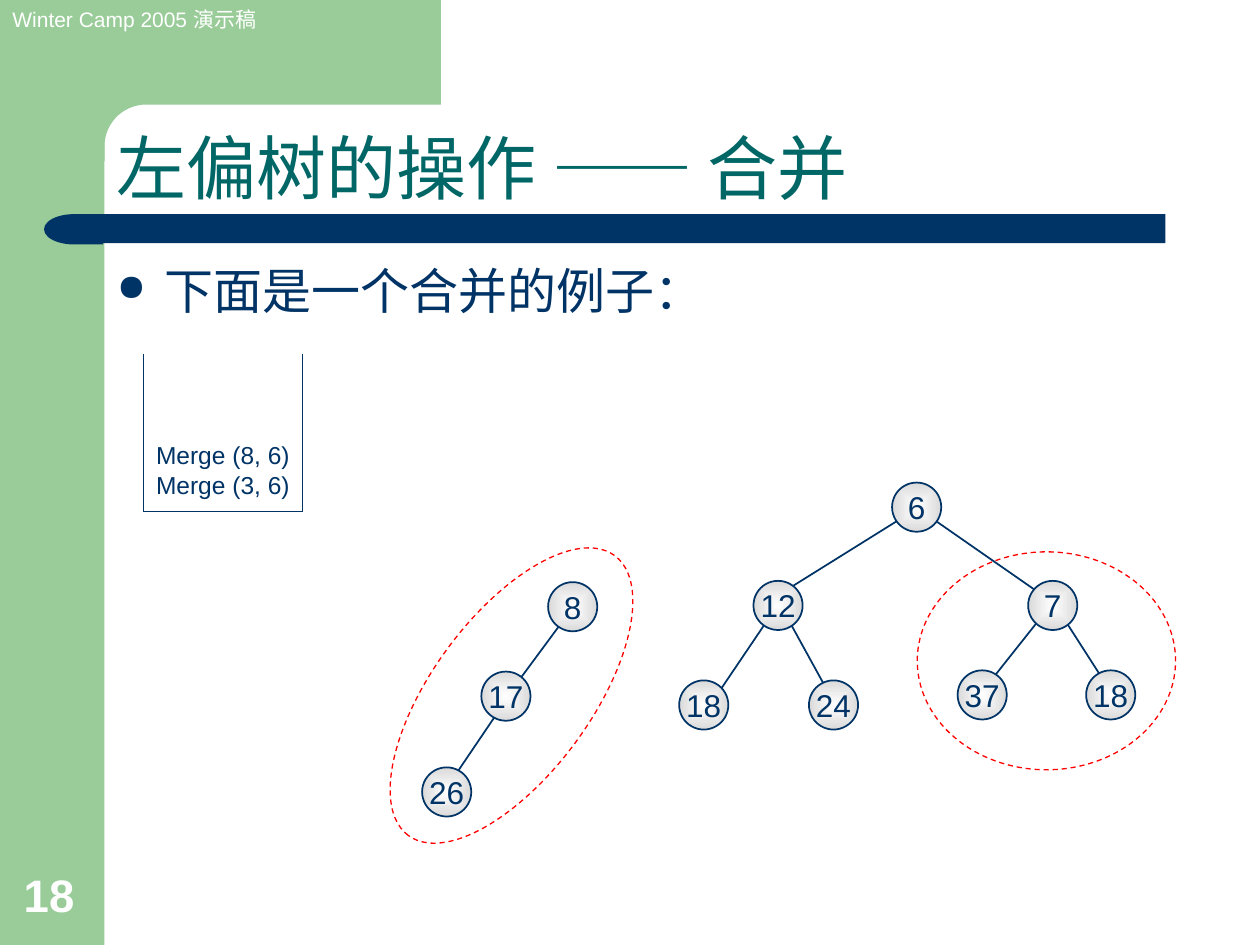
import math

from lxml import etree
from pptx import Presentation
from pptx.dml import color
from pptx.enum import dml, shapes, text
from pptx.oxml import ns
from pptx.util import Inches, Pt

NAVY, GREEN, TEAL, RED, WHITE = "003366", "99CC99", "006666", "FF0000", "FFFFFF"
LATIN, CJK = "Arial", "Noto Sans CJK SC"
NODE_SIZE = 0.39
NODES = [
    ("6", 7.08, 3.83), ("12", 5.98, 4.61), ("18", 5.39, 5.4), ("24", 6.42, 5.4),
    ("37", 7.6, 5.32), ("18", 8.62, 5.32), ("7", 8.16, 4.61),
    ("8", 4.35, 4.62), ("26", 3.35, 6.09), ("17", 3.82, 5.33),
]
EDGES = [
    (6.14, 4.85, 5.66, 5.56), (6.22, 4.85, 6.61, 5.56),
    (7.24, 4.06, 6.23, 4.69), (7.32, 4.06, 8.34, 4.77),
    (8.31, 4.84, 7.81, 5.47), (8.38, 4.81, 8.81, 5.48),
    (4.54, 4.83, 4.03, 5.52), (4, 5.58, 3.52, 6.29),
]
STACK_CORNERS = [(1.14, 2.81), (1.14, 4.06), (2.4, 4.06), (2.4, 2.81)]


def rgb(value):
    """Return the colour of a hex string."""
    return color.RGBColor.from_string(value)


def add_element(parent, tag, **attributes):
    """Append a DrawingML element to a parent."""
    return etree.SubElement(parent, ns.qn(tag), attributes)


def style_paragraph(paragraph, size, font_color, bold=False):
    """Set the font of a whole paragraph."""
    font = paragraph.font
    font.size, font.name, font.bold = Pt(size), LATIN, bold
    font.color.rgb = rgb(font_color)
    properties = paragraph._p.get_or_add_pPr().find(ns.qn("a:defRPr"))
    add_element(properties, "a:ea", typeface=CJK)


def add_text(slide, box, lines, size, font_color, anchor=text.MSO_ANCHOR.TOP, bold=False):
    """Add a wrapping text box and return its paragraphs."""
    frame = slide.shapes.add_textbox(*map(Inches, box)).text_frame
    frame.word_wrap = True
    frame.vertical_anchor = anchor
    frame.text = "\n".join(lines)
    for paragraph in frame.paragraphs:
        style_paragraph(paragraph, size, font_color, bold)
    return frame.paragraphs


def add_filled(slide, kind, box, fill):
    """Add a borderless preset shape."""
    shape = slide.shapes.add_shape(kind, *map(Inches, box))
    finish_filled(shape, fill)
    return shape


def finish_filled(shape, fill):
    """Give a shape a plain fill without line or shadow."""
    shape.shadow.inherit = False
    shape.fill.solid()
    shape.fill.fore_color.rgb = rgb(fill)
    shape.line.fill.background()


def add_corner(slide):
    """Add the green top block with its rounded inner corner."""
    radius, center = 0.33, 1.16
    arc = [
        (center - radius * math.sin(angle), center - radius * math.cos(angle))
        for angle in (math.radians(degrees) for degrees in range(0, 91, 6))
    ]
    points = [(3.5, 0), (3.5, 0.83), *arc, (0.83, 1.28), (0.5, 1.28), (0.5, 0)]
    builder = slide.shapes.build_freeform(*map(Inches, points[0]))
    builder.add_line_segments([tuple(map(Inches, point)) for point in points[1:]])
    finish_filled(builder.convert_to_shape(), GREEN)


def add_line(slide, ends, width):
    """Add a straight navy line."""
    line = slide.shapes.add_connector(shapes.MSO_CONNECTOR.STRAIGHT, *map(Inches, ends))
    line.line.color.rgb = rgb(NAVY)
    line.line.width = Pt(width)
    add_element(line._element.spPr, "a:effectLst")


def add_node(slide, label, left, top):
    """Add a round tree node with a radial gradient."""
    box = map(Inches, (left, top, NODE_SIZE, NODE_SIZE))
    node = slide.shapes.add_shape(shapes.MSO_SHAPE.OVAL, *box)
    node.shadow.inherit = False
    node.fill.gradient()
    for stop, value in zip(node.fill.gradient_stops, (WHITE, "DADADA")):
        stop.color.rgb = rgb(value)
    gradient = node._element.spPr.find(ns.qn("a:gradFill"))
    gradient.remove(gradient.find(ns.qn("a:lin")))
    shading = add_element(gradient, "a:path", path="shape")
    add_element(shading, "a:fillToRect", l="50000", t="50000", r="50000", b="50000")
    node.line.color.rgb = rgb(NAVY)
    node.line.width = Pt(1)
    frame = node.text_frame
    frame.word_wrap = False
    frame.vertical_anchor = text.MSO_ANCHOR.MIDDLE
    frame.text = label
    frame.paragraphs[0].alignment = text.PP_ALIGN.CENTER
    style_paragraph(frame.paragraphs[0], 18, NAVY)


def add_ring(slide, box, rotation=0):
    """Add a dashed red ellipse around a subtree."""
    ring = slide.shapes.add_shape(shapes.MSO_SHAPE.OVAL, *map(Inches, box))
    ring.shadow.inherit = False
    ring.rotation = rotation
    ring.fill.background()
    ring.line.color.rgb = rgb(RED)
    ring.line.width = Pt(0.75)
    ring.line.dash_style = dml.MSO_LINE.DASH


def add_frame(slide):
    """Add the green border, the navy bar and the header text."""
    add_filled(slide, shapes.MSO_SHAPE.RECTANGLE, (0, 0, 0.83, 7.5), GREEN)
    add_corner(slide)
    add_filled(slide, shapes.MSO_SHAPE.RECTANGLE, (0.81, 1.7, 8.44, 0.23), NAVY)
    cap = add_filled(slide, shapes.MSO_SHAPE.FLOWCHART_DELAY, (0.35, 1.7, 0.47, 0.24), NAVY)
    cap._element.spPr.find(ns.qn("a:xfrm")).set("flipH", "1")
    add_text(slide, (0, 0, 2.28, 0.3), ["Winter Camp 2005 演示稿"], 12, WHITE)


def add_title(slide):
    """Add the title with its dash in the CJK font."""
    box = (0.83, 0.84, 8.51, 0.87)
    paragraph = add_text(slide, box, ["左偏树的操作 "], 40, TEAL, text.MSO_ANCHOR.BOTTOM)[0]
    paragraph.line_spacing = 0.9
    dash = paragraph.add_run()
    dash.text = "—— "
    dash.font.name = CJK
    paragraph.add_run().text = "合并"


def add_bullet(slide):
    """Add the bulleted sentence."""
    frame = slide.shapes.add_textbox(*map(Inches, (0.83, 2.02, 8.43, 4.88))).text_frame
    frame.word_wrap = True
    frame.text = "下面是一个合并的例子："
    paragraph = frame.paragraphs[0]
    properties = paragraph._p.get_or_add_pPr()
    properties.set("marL", str(Inches(0.38)))
    properties.set("indent", str(Inches(-0.38)))
    bullet_color = add_element(properties, "a:buClr")
    add_element(bullet_color, "a:srgbClr", val=NAVY)
    add_element(properties, "a:buSzPct", val="75000")
    add_element(properties, "a:buChar", char="●")
    style_paragraph(paragraph, 28, NAVY)


def main():
    """Build and save the slide."""
    presentation = Presentation()
    presentation.slide_width, presentation.slide_height = Inches(10), Inches(7.5)
    slide = presentation.slides.add_slide(presentation.slide_layouts[6])
    bottom = text.MSO_ANCHOR.BOTTOM
    add_frame(slide)
    add_title(slide)
    add_bullet(slide)
    for edge in EDGES:
        add_line(slide, edge, 1)
    for node in NODES:
        add_node(slide, *node)
    calls = ["Merge (8, 6)", "Merge (3, 6)"]
    add_text(slide, (1.14, 3.44, 1.26, 0.57), calls, 14, NAVY, bottom)
    for start, end in zip(STACK_CORNERS, STACK_CORNERS[1:]):
        add_line(slide, start + end, 0.75)
    add_ring(slide, (2.68, 4.89, 2.76, 1.26), 306.4)
    add_ring(slide, (7.28, 4.38, 2.05, 1.73))
    add_text(slide, (0.09, 6.83, 0.64, 0.53), ["18"], 26, WHITE, bottom, bold=True)
    presentation.save("out.pptx")


if __name__ == "__main__":
    main()
